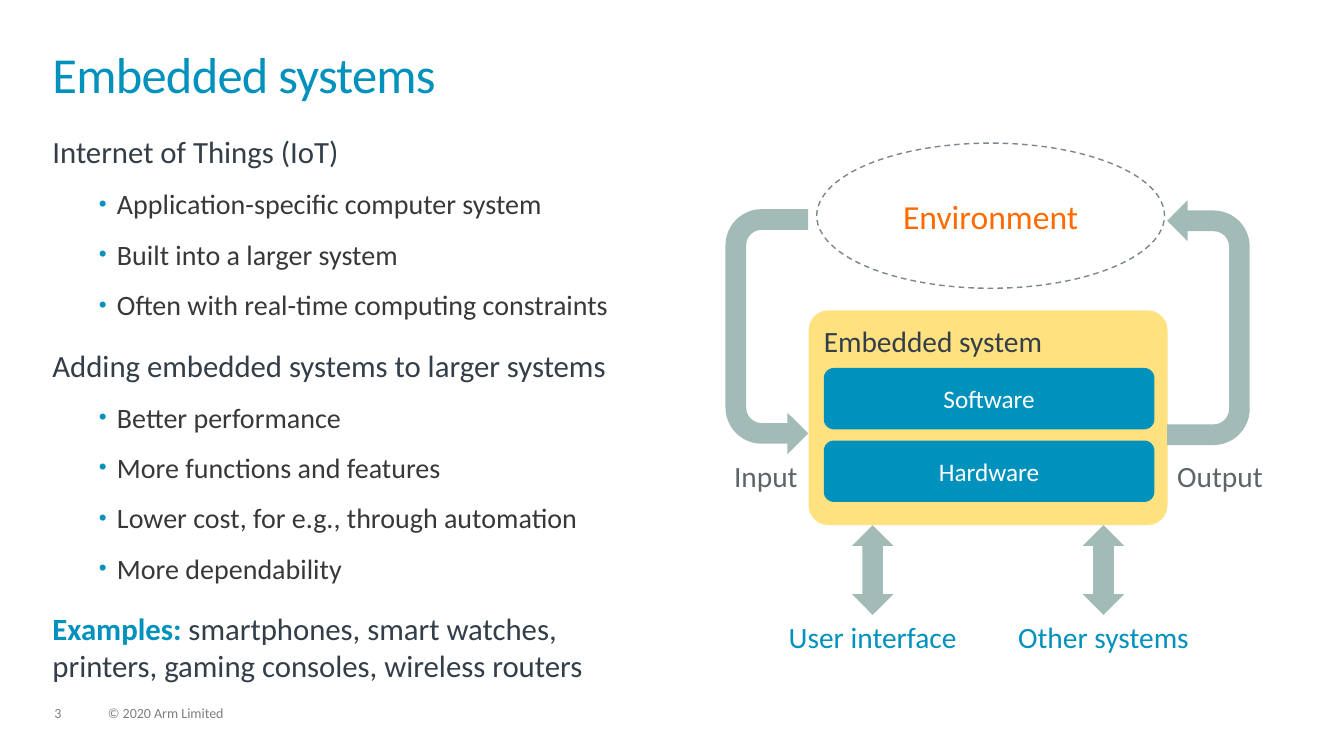
"""Build the "Embedded systems" slide: topic list beside a system diagram."""
from lxml import etree
from pptx import Presentation
from pptx.dml.color import RGBColor
from pptx.enum.dml import MSO_LINE
from pptx.enum.shapes import MSO_SHAPE
from pptx.enum.text import MSO_ANCHOR, PP_ALIGN
from pptx.oxml.ns import qn
from pptx.util import Inches, Pt

LEFT, CENTER = PP_ALIGN.LEFT, PP_ALIGN.CENTER
TOP, MIDDLE = MSO_ANCHOR.TOP, MSO_ANCHOR.MIDDLE
ROUND, OVAL = MSO_SHAPE.ROUNDED_RECTANGLE, MSO_SHAPE.OVAL
UTURN, UP_DOWN = MSO_SHAPE.U_TURN_ARROW, MSO_SHAPE.UP_DOWN_ARROW
DASH = MSO_LINE.DASH
COLORS = {
    "blue": "0091BD", "slate": "333E48", "text": "383838", "gray": "7F7F7F",
    "label": "5D6569", "outline": "7D868C", "orange": "FF6B00",
    "yellow": "FFC700", "sage": "A2BBB7", "white": "FFFFFF",
}


def add_text(tf, runs, size, first=True, anchor=TOP, **paragraph_format):
    """Write one paragraph of (text, color, bold) runs and return it."""
    tf.word_wrap = True
    tf.vertical_anchor = anchor
    tf.margin_left = tf.margin_right = tf.margin_top = tf.margin_bottom = 0
    p = tf.paragraphs[0] if first else tf.add_paragraph()
    for name, value in paragraph_format.items():
        setattr(p, name, value)
    for text, color, bold in runs:
        r = p.add_run()
        r.text = text
        r.font.color.rgb = RGBColor.from_string(COLORS[color])
        for name, value in {"name": "Calibri", "size": Pt(size), "bold": bold}.items():
            setattr(r.font, name, value)
    return p


def add_block(kind, box, fill=None, adjustments=()):
    """Add a preset shape without outline or shadow."""
    sp = s.shapes.add_shape(kind, *map(Inches, box))
    sp.shadow.inherit = False
    sp.line.fill.background()
    if fill:
        sp.fill.solid()
        sp.fill.fore_color.rgb = RGBColor.from_string(COLORS[fill])
    else:
        sp.fill.background()
    for i, value in enumerate(adjustments):
        sp.adjustments[i] = value
    return sp


prs = Presentation()
prs.slide_width, prs.slide_height = Inches(13.33), Inches(7.5)
s = prs.slides.add_slide(prs.slide_layouts[6])

title = s.shapes.add_textbox(Inches(0.52), Inches(0.52), Inches(12.28), Inches(0.56))
p = add_text(title.text_frame, [("Embedded systems", "blue", False)], 36, line_spacing=0.85)
p.runs[0].font._element.set("spc", "-50")

topics = [
    ("Internet of Things (IoT)", [
        "Application-specific computer system",
        "Built into a larger system",
        "Often with real-time computing constraints",
    ]),
    ("Adding embedded systems to larger systems", [
        "Better performance",
        "More functions and features",
        "Lower cost, for e.g., through automation",
        "More dependability",
    ]),
]
body = s.shapes.add_textbox(Inches(0.52), Inches(1.32), Inches(5.99), Inches(4.95))
tf = body.text_frame
for i, (heading, points) in enumerate(topics):
    add_text(tf, [(heading, "slate", False)], 22, first=i == 0,
             space_before=Pt(6 if i else 0), space_after=Pt(12))
    for point in points:
        p = add_text(tf, [(point, "text", False)], 20, first=False, level=1, space_after=Pt(12))
        pPr = p._p.get_or_add_pPr()
        pPr.set("marL", str(Inches(0.64)))
        pPr.set("indent", str(Inches(-0.18)))
        bullet_color = etree.SubElement(pPr, qn("a:buClr"))
        etree.SubElement(bullet_color, qn("a:srgbClr"), val=COLORS["blue"])
        etree.SubElement(pPr, qn("a:buSzPct"), val="80000")
        etree.SubElement(pPr, qn("a:buFont"), typeface="Arial")
        etree.SubElement(pPr, qn("a:buChar"), char="•")
examples = [
    ("Examples:", "blue", True),
    (" smartphones, smart watches, printers, gaming consoles, wireless routers", "slate", False),
]
add_text(tf, examples, 22, first=False, space_before=Pt(6), space_after=Pt(12))

system = add_block(ROUND, (8.02, 3.08, 3.56, 2.13), "yellow", [0.092])
system_color = system.fill._xPr.find(qn("a:solidFill"))[0]
etree.SubElement(system_color, qn("a:alpha"), val="50000")

for i, layer in enumerate(["Software", "Hardware"]):
    sp = add_block(ROUND, (8.17, 3.65 + 0.72 * i, 3.28, 0.61), "blue")
    add_text(sp.text_frame, [(layer, "white", False)], 18, anchor=MIDDLE, alignment=CENTER)

environment = add_block(OVAL, (8.1, 1.42, 3.45, 1.44))
environment.line.color.rgb = RGBColor.from_string(COLORS["outline"])
environment.line.width = Pt(1)
environment.line.dash_style = DASH
add_text(environment.text_frame, [("Environment", "orange", False)], 24,
         anchor=MIDDLE, alignment=CENTER)

for left, top, rotation in [(6.39, 2.88, 270), (10.77, 2.79, 90)]:
    sp = add_block(UTURN, (left, top, 2.43, 0.82), "sage", [0.25, 0.25, 0.25, 0.438, 1])
    sp.rotation = rotation
    sp._element.spPr.find(qn("a:xfrm")).set("flipH", "1")

for left in (8.45, 10.74):
    add_block(UP_DOWN, (left, 5.21, 0.41, 0.89), "sage")

labels = [
    ("Embedded system", (8.17, 3.25, 3.35, 0.32), 21, "slate", LEFT),
    ("User interface", (7.8, 6.18, 1.71, 0.32), 21, "blue", CENTER),
    ("Other systems", (10.09, 6.18, 1.71, 0.32), 21, "blue", CENTER),
    ("Input", (7.02, 4.58, 1.15, 0.32), 21, "label", CENTER),
    ("Output", (11.4, 4.58, 1.4, 0.32), 21, "label", CENTER),
    ("3", (0.54, 7.01, 0.34, 0.15), 10, "gray", LEFT),
    ("© 2020 Arm Limited", (1.07, 7.01, 1.71, 0.15), 10, "gray", LEFT),
]
for text, box, size, color, alignment in labels:
    sp = s.shapes.add_textbox(*map(Inches, box))
    add_text(sp.text_frame, [(text, color, False)], size, alignment=alignment,
             line_spacing=0.9, space_after=Pt(6))

prs.save("out.pptx")
